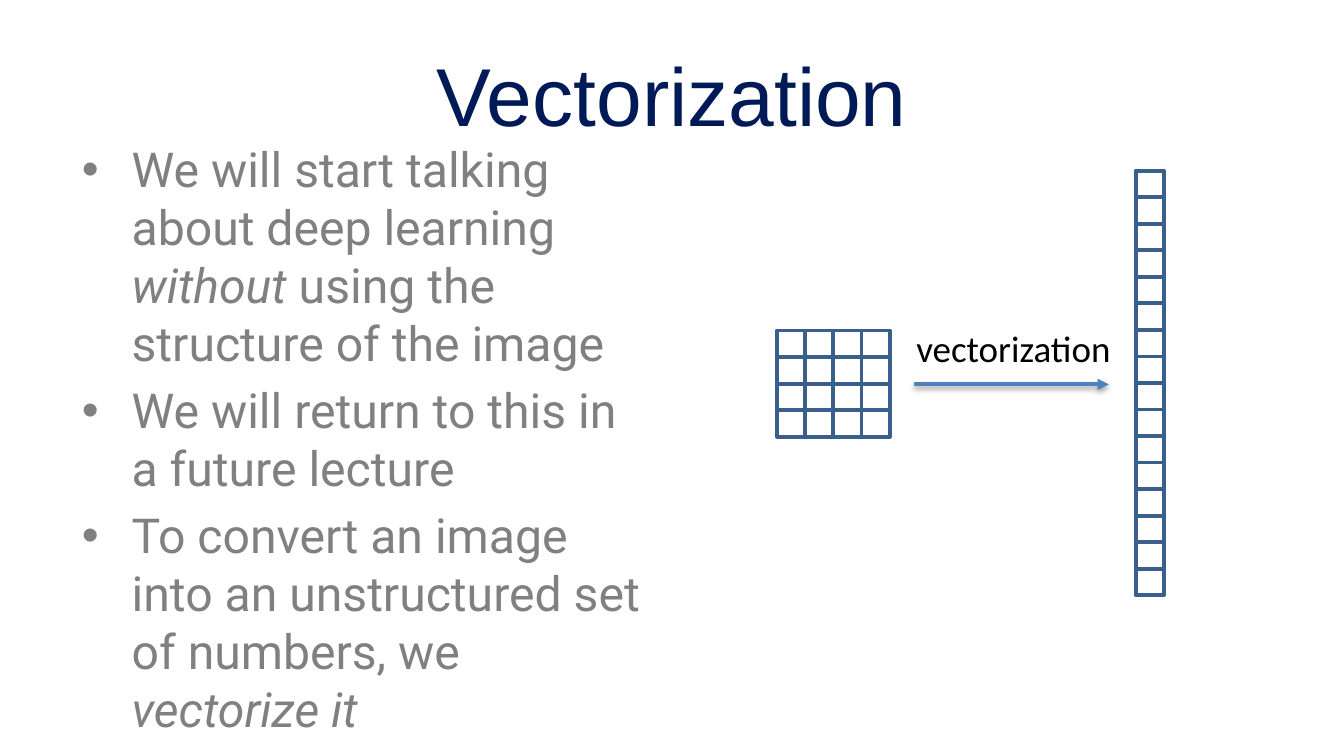
from lxml.etree import SubElement
from pptx import Presentation
from pptx.dml.color import RGBColor
from pptx.enum.shapes import MSO_CONNECTOR, MSO_SHAPE
from pptx.enum.text import MSO_ANCHOR, MSO_AUTO_SIZE, PP_ALIGN
from pptx.oxml import parse_xml
from pptx.oxml.ns import nsdecls, qn
from pptx.util import Inches, Pt

NAVY = RGBColor(0x00, 0x1A, 0x57)
GRAY = RGBColor(0x80, 0x80, 0x80)
BLACK = RGBColor(0x00, 0x00, 0x00)
CELL_BLUE = RGBColor(0x3A, 0x5F, 0x8C)
ARROW_BLUE = RGBColor(0x4F, 0x81, 0xBD)

# Each bullet is a list of (text, italic) runs
BULLETS = [
    [("We will start talking about deep learning ", False),
     ("without", True),
     (" using the structure of the image", False)],
    [("We will return to this in a future lecture", False)],
    [("To convert an image into an unstructured set of numbers, we ", False),
     ("vectorize it", True)],
]


def place(sp, left, top, width, height):
    sp.left, sp.top = Inches(left), Inches(top)
    sp.width, sp.height = Inches(width), Inches(height)


def add_run(p, text, font, size, color, italic=False):
    r = p.add_run()
    r.text = text
    r.font.name = font
    r.font.size = Pt(size)
    r.font.color.rgb = color
    r.font.italic = italic


def fill_title(sp, text, *box):
    place(sp, *box)
    tf = sp.text_frame
    tf.auto_size = MSO_AUTO_SIZE.NONE
    tf.vertical_anchor = MSO_ANCHOR.MIDDLE
    p = tf.paragraphs[0]
    p.alignment = PP_ALIGN.CENTER
    add_run(p, text, "Arial", 44, NAVY)


def fill_bullets(sp, bullets, *box):
    place(sp, *box)
    tf = sp.text_frame
    tf.auto_size = MSO_AUTO_SIZE.NONE
    for i, runs in enumerate(bullets):
        p = tf.add_paragraph() if i else tf.paragraphs[0]
        p.space_before = Pt(5.2)
        pPr = p._p.get_or_add_pPr()
        pPr.set("marL", str(Inches(0.37)))
        pPr.set("indent", str(Inches(-0.37)))
        SubElement(pPr, qn("a:buFont")).set("typeface", "Arial")
        SubElement(pPr, qn("a:buChar")).set("char", "•")
        for text, italic in runs:
            add_run(p, text, "Roboto", 25.8, GRAY, italic)


def add_cells(slide, rows, cols, left, top, width, height):
    """Divide the box evenly into outlined cells."""
    w, h = width / cols, height / rows
    for row in range(rows):
        for col in range(cols):
            s = slide.shapes.add_shape(
                MSO_SHAPE.RECTANGLE, Inches(left + col * w),
                Inches(top + row * h), Inches(w), Inches(h))
            s.shadow.inherit = False
            s.fill.background()
            s.line.color.rgb = CELL_BLUE
            s.line.width = Pt(2)


def add_arrow(slide, left, top, length):
    line = slide.shapes.add_connector(
        MSO_CONNECTOR.STRAIGHT, Inches(left), Inches(top),
        Inches(left + length), Inches(top))
    line.line.color.rgb = ARROW_BLUE
    line.line.width = Pt(2)
    spPr = line._element.spPr
    SubElement(spPr.find(qn("a:ln")), qn("a:tailEnd")).set("type", "triangle")
    spPr.append(parse_xml(
        f'<a:effectLst {nsdecls("a")}>'
        f'<a:outerShdw blurRad="{Pt(3.1)}" dist="{Pt(1.6)}" dir="5400000" rotWithShape="0">'
        '<a:srgbClr val="000000"><a:alpha val="38000"/></a:srgbClr>'
        '</a:outerShdw></a:effectLst>'))


def add_label(slide, text, *box):
    sp = slide.shapes.add_textbox(*map(Inches, box))
    tf = sp.text_frame
    tf.word_wrap = False
    tf.auto_size = MSO_AUTO_SIZE.SHAPE_TO_FIT_TEXT
    add_run(tf.paragraphs[0], text, "Calibri", 19.8, BLACK)


def add_diagram(slide, left, top, width, height):
    """Show a square grid turning into a column, with an arrow between."""
    n = 4
    cell_w, cell_h = 0.21, height / n ** 2
    grid_top = top + 1.19
    add_cells(slide, n, n, left, grid_top, n * cell_w, n * cell_h)
    add_arrow(slide, left + 1.02, grid_top + 0.4, 1.45)
    add_label(slide, "vectorization", left + 0.94, grid_top - 0.09, 1.66, 0.43)
    add_cells(slide, n ** 2, 1, left + width - cell_w, top, cell_w, height)


def main():
    prs = Presentation()
    prs.slide_width = Inches(10)
    prs.slide_height = prs.slide_width * 9 // 16
    slide = prs.slides.add_slide(prs.slide_layouts[1])
    title, body = slide.placeholders
    fill_title(title, "Vectorization", 0.5, 0.23, 9, 0.94)
    fill_bullets(body, BULLETS, 0.51, 0.99, 4.41, 4.05)
    add_diagram(slide, 5.78, 1.27, 2.88, 3.16)
    prs.save("out.pptx")


if __name__ == "__main__":
    main()
